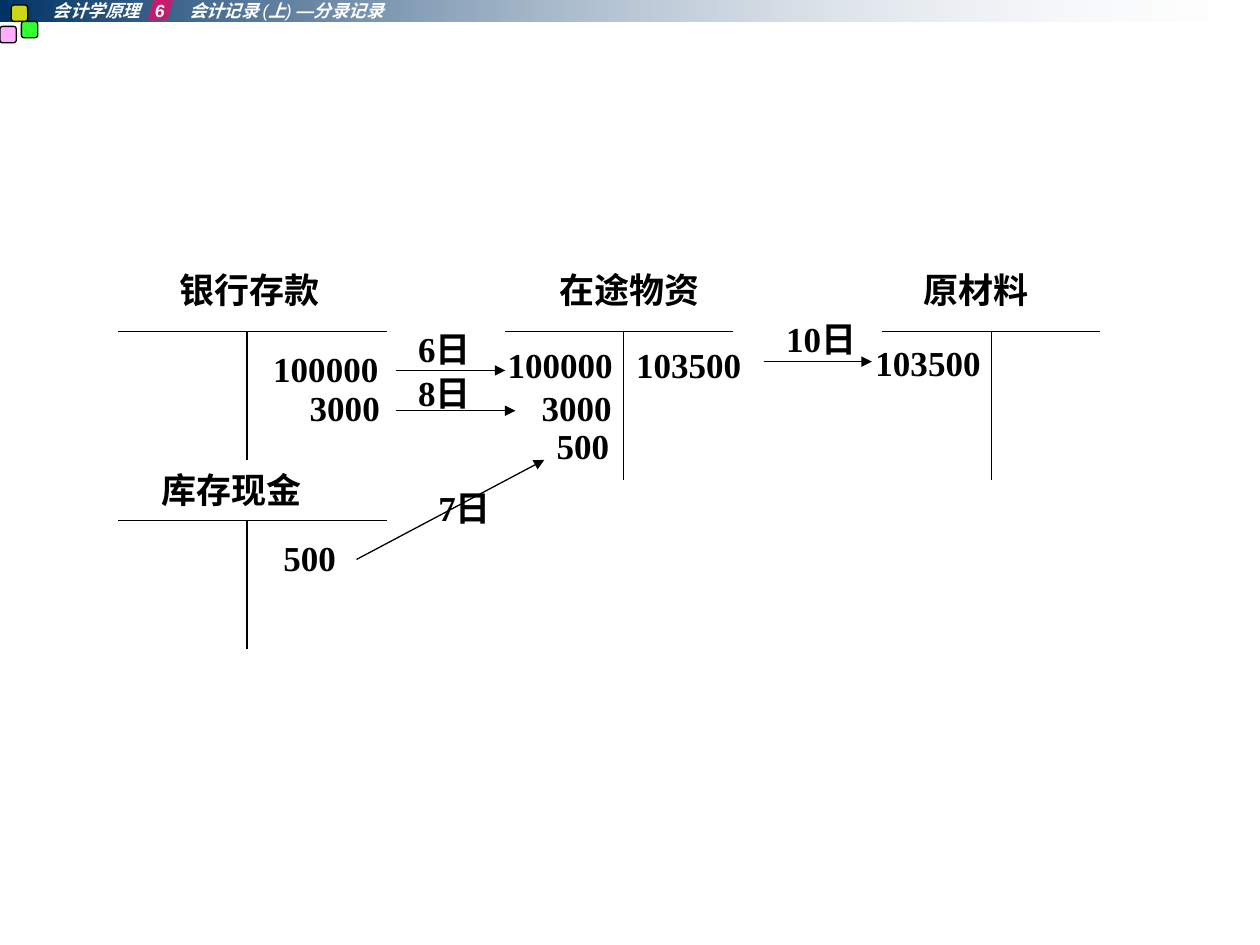
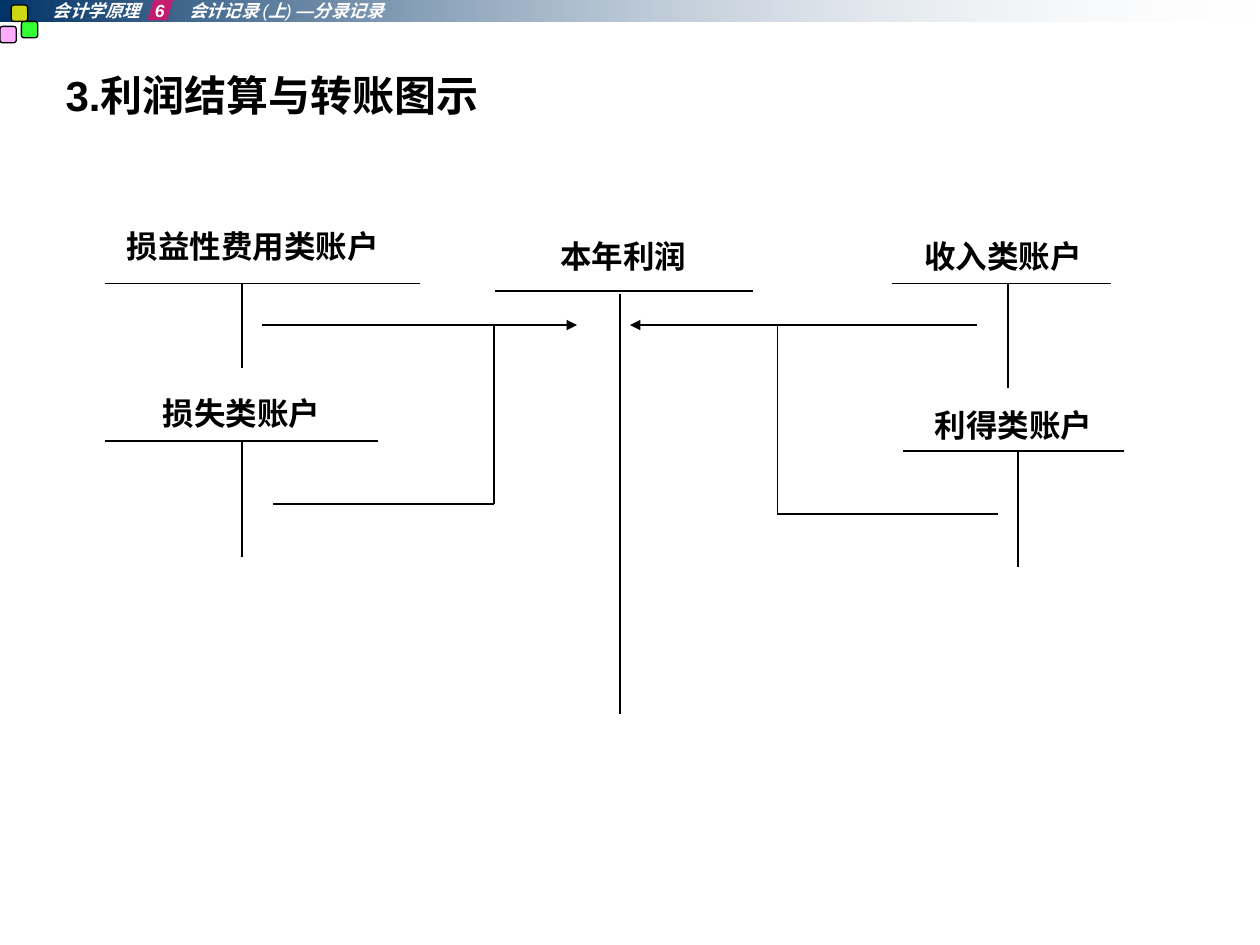
from pptx import Presentation
from pptx.dml.color import RGBColor
from pptx.enum.shapes import MSO_CONNECTOR, MSO_SHAPE
from pptx.enum.text import MSO_ANCHOR, MSO_AUTO_SIZE, PP_ALIGN
from pptx.oxml.ns import qn
from pptx.util import Inches, Pt
from lxml import etree

RECT, ROUND, SLANT = MSO_SHAPE.RECTANGLE, MSO_SHAPE.ROUNDED_RECTANGLE, MSO_SHAPE.PARALLELOGRAM
STRAIGHT = MSO_CONNECTOR.STRAIGHT
TOP = MSO_ANCHOR.TOP
GROW = MSO_AUTO_SIZE.SHAPE_TO_FIT_TEXT
LEFT, CENTER = PP_ALIGN.LEFT, PP_ALIGN.CENTER
TITLE_ONLY, BLANK = 5, 6

COLORS = {
    "ink": "000000", "white": "FFFFFF", "navy": "003366", "mist": "E7ECF1",
    "pink": "FF99FF", "green": "00FF00", "yellow": "FFFF00", "magenta": "FF0066",
}
HEAD_FONT, BODY_FONT = "Arial", "Times New Roman"
LINE_WIDTH = Pt(0.75)


def rgb(name):
    return RGBColor.from_string(COLORS[name])


def write(tf, text, size=20, font=BODY_FONT, color="ink", bold=True, italic=False,
          align=LEFT, tabs=()):
    """Fill the first paragraph; text is a string or a list of (text, bold) runs."""
    p = tf.paragraphs[0]
    p.alignment = align
    if tabs:
        tab_list = etree.SubElement(p._p.get_or_add_pPr(), qn("a:tabLst"))
        for pos in tabs:
            etree.SubElement(tab_list, qn("a:tab"), pos=str(Inches(pos)), algn="l")
    for words, is_bold in [(text, bold)] if isinstance(text, str) else text:
        r = p.add_run()
        r.text = words
        f = r.font
        f.name, f.size, f.bold, f.italic = font, Pt(size), is_bold, italic
        f.color.rgb = rgb(color)


def add_text(slide, text, left, top, width, height=0.44, inset=(0.1, 0.05), **style):
    tf = slide.shapes.add_textbox(*map(Inches, (left, top, width, height))).text_frame
    tf.word_wrap = True
    tf.auto_size = GROW
    tf.margin_left = tf.margin_right = Inches(inset[0])
    tf.margin_top = tf.margin_bottom = Inches(inset[1])
    write(tf, text, **style)


def add_line(slide, x1, y1, x2, y2, arrow=False):
    c = slide.shapes.add_connector(STRAIGHT, *map(Inches, (x1, y1, x2, y2)))
    c.line.color.rgb = rgb("ink")
    c.line.width = LINE_WIDTH
    if arrow:
        etree.SubElement(c.line._get_or_add_ln(), qn("a:tailEnd"), type="triangle")
    etree.SubElement(c.element.spPr, qn("a:effectLst"))


def set_last_color_opacity(s, percent):
    color = list(s.element.spPr.iter(qn("a:srgbClr")))[-1]
    etree.SubElement(color, qn("a:alpha"), val=str(percent * 1000))


def add_box(slide, kind, left, top, width, height, color, opacity, fade_to=None, outline=False):
    s = slide.shapes.add_shape(kind, *map(Inches, (left, top, width, height)))
    s.shadow.inherit = False
    if fade_to:
        s.fill.gradient()
        s.fill.gradient_angle = 0
        for stop, pos, name in zip(s.fill.gradient_stops, (0, 1), (color, fade_to)):
            stop.position = pos
            stop.color.rgb = rgb(name)
    else:
        s.fill.solid()
        s.fill.fore_color.rgb = rgb(color)
    set_last_color_opacity(s, opacity)
    if outline:
        s.line.color.rgb = rgb("ink")
        s.line.width = LINE_WIDTH
    else:
        s.line.fill.background()
    return s


def add_header(slide):
    add_box(slide, RECT, 0, 0, 10, 0.17, "navy", 0, fade_to="mist")
    for left, top, color in [(0, 0.21, "pink"), (0.17, 0.17, "green"), (0.09, 0.04, "yellow")]:
        add_box(slide, ROUND, left, top, 0.13, 0.13, color, 80, outline=True)
    chapter = add_box(slide, SLANT, 1.17, -0.02, 0.21, 0.18, "magenta", 70)
    chapter.adjustments[0] = 0.3
    add_text(slide, [("会计学原理\t6\t会计记录 ", True), ("(", False), ("上", True),
                     (") ", False), ("—分录记录", True)],
             0.42, 0, 2.92, 0.17, inset=(0, 0), size=10, font=HEAD_FONT, color="white",
             italic=True, tabs=(0.81, 1.08))


def add_account(slide, name, name_box, bar, stem, size=20, gap=0):
    """T-account: bar is (left, right, y), stem is (x, bottom)."""
    left, right, y = bar
    x, bottom = stem
    add_line(slide, left, y, right, y)
    add_line(slide, x, y + gap, x, bottom)
    add_text(slide, name, *name_box, size=size, align=CENTER)


def add_purchase_slide(prs):
    slide = prs.slides.add_slide(prs.slide_layouts[BLANK])
    add_header(slide)
    for account in [
        ("银行存款", (1.31, 2.08, 1.34), (0.94, 3.07, 2.63), (1.96, 3.65)),
        ("库存现金", (1, 3.67, 1.68), (0.94, 3.07, 4.13), (1.96, 5.15)),
        ("在途物资", (4.25, 2.08, 1.5), (4.01, 5.82, 2.63), (4.95, 3.81)),
        ("原材料", (7.08, 2.08, 1.34), (7, 8.73, 2.63), (7.87, 3.81)),
    ]:
        add_account(slide, *account)
    for amount, left, top in [
        ("100000", 2.07, 2.71), ("3000", 2.36, 3.02), ("500", 2.15, 4.21),
        ("100000", 3.93, 2.68), ("3000", 4.2, 3.02), ("500", 4.32, 3.32),
        ("103500", 4.95, 2.68), ("103500", 6.85, 2.66),
    ]:
        add_text(slide, amount, left, top, 1.1)
    for day, left, top, width, arrow in [
        ("6日", 3.22, 2.55, 0.71, (3.14, 2.94, 4.01, 2.94)),
        ("8日", 3.22, 2.9, 0.71, (3.14, 3.26, 4.09, 3.26)),
        ("7日", 3.38, 3.81, 0.71, (2.83, 4.44, 4.32, 3.65)),
        ("10日", 6.14, 2.47, 0.87, (6.06, 2.87, 6.92, 2.87)),
    ]:
        add_text(slide, day, left, top, width)
        add_line(slide, *arrow, arrow=True)


def add_profit_slide(prs):
    slide = prs.slides.add_slide(prs.slide_layouts[TITLE_ONLY])
    add_header(slide)
    title = slide.shapes.title
    title.left, title.top, title.width, title.height = map(Inches, (0.42, 0.5, 9.17, 0.67))
    title.text_frame.vertical_anchor = TOP
    write(title.text_frame, "3.利润结算与转账图示", size=24, font=HEAD_FONT)

    for account in [
        ("损益性费用类账户", (0.67, 1.75, 2.67, 0.4), (0.83, 3.33, 2.25), (1.92, 2.92)),
        ("损失类账户", (1, 3.08, 1.83, 0.4), (0.83, 3, 3.5), (1.92, 4.42)),
        ("收入类账户", (7, 1.83, 1.92, 0.4), (7.08, 8.82, 2.25), (8, 3.08)),
        ("利得类账户", (7.17, 3.17, 1.75, 0.4), (7.17, 8.92, 3.58), (8.08, 4.5)),
    ]:
        add_account(slide, *account, size=18)
    add_account(slide, "本年利润", (4.16, 1.83, 1.57, 0.4), (3.93, 5.98, 2.31), (4.92, 5.67),
                size=18, gap=0.02)

    transfer_y = 2.58
    for start, end, join_x, branch_x, branch_y in [
        (2.08, 4.58, 3.92, 2.17, 4), (7.75, 5, 6.17, 7.92, 4.08),
    ]:
        add_line(slide, start, transfer_y, end, transfer_y, arrow=True)
        add_line(slide, join_x, transfer_y, join_x, branch_y)
        add_line(slide, join_x, branch_y, branch_x, branch_y)


def main():
    prs = Presentation()
    prs.slide_width, prs.slide_height = Inches(10), Inches(7.5)
    add_purchase_slide(prs)
    add_profit_slide(prs)
    prs.save("out.pptx")


if __name__ == "__main__":
    main()
